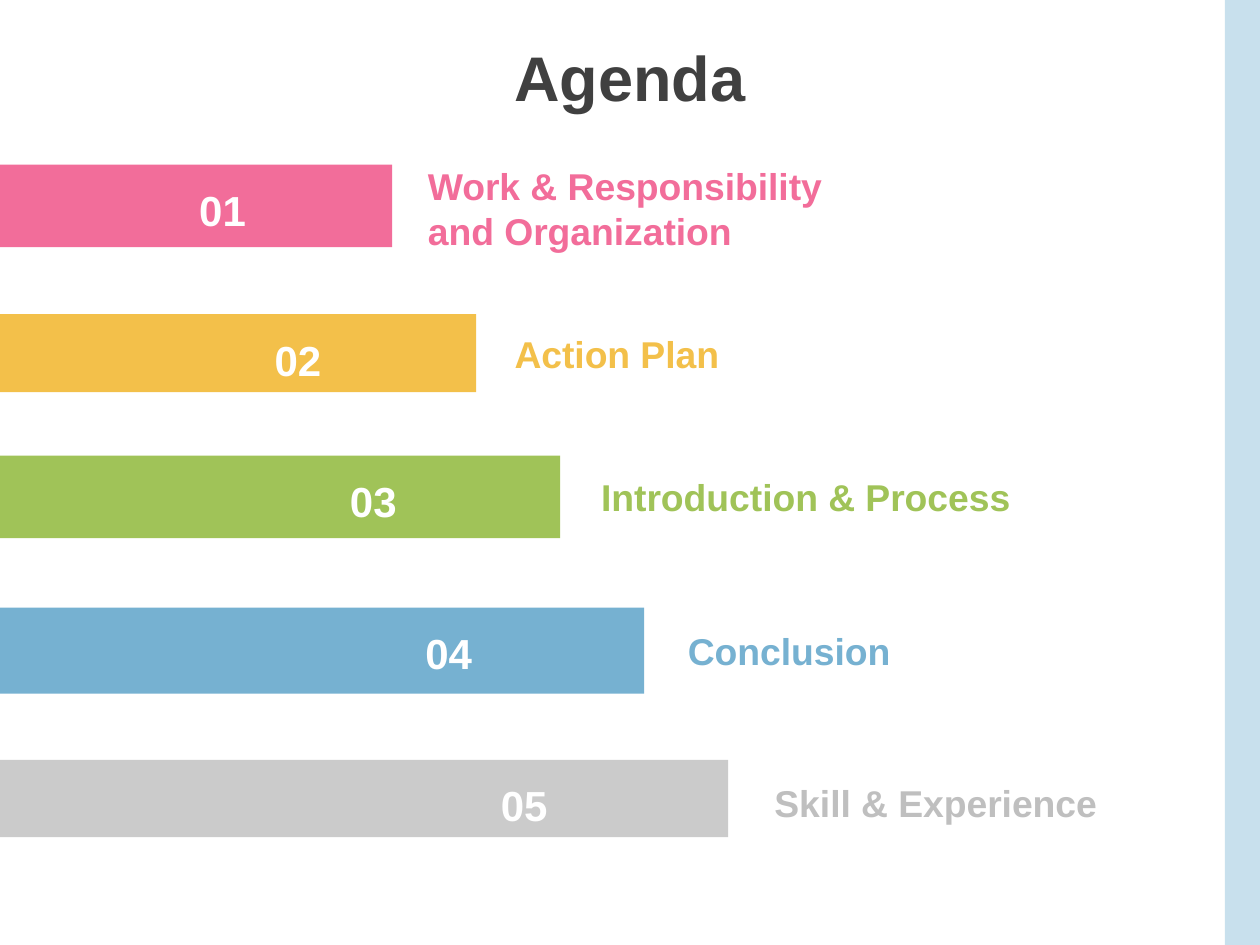
from pptx import Presentation
from pptx.dml.color import RGBColor
from pptx.enum.shapes import MSO_SHAPE as Preset
from pptx.enum.text import MSO_ANCHOR as Anchor, PP_ALIGN as Align
from pptx.util import Cm, Pt

PINK = RGBColor(0xF2, 0x6D, 0x9A)
YELLOW = RGBColor(0xF3, 0xC0, 0x4A)
GREEN = RGBColor(0xA0, 0xC3, 0x58)
BLUE = RGBColor(0x76, 0xB1, 0xD1)
GREY = RGBColor(0xCB, 0xCB, 0xCB)
LABEL_GREY = RGBColor(0xBF, 0xBF, 0xBF)
PALE_BLUE = RGBColor(0xC8, 0xE0, 0xED)
DARK = RGBColor(0x40, 0x40, 0x40)
WHITE = RGBColor(0xFF, 0xFF, 0xFF)

TITLE = "Agenda"
# label, bar colour, label colour, bar top, bar height, label top, label width, label height
ITEMS = [
    ("Work & Responsibility and Organization", PINK, PINK, 2.49, 1.25, 2.34, 7.19, 1.63),
    ("Action Plan", YELLOW, YELLOW, 4.75, 1.18, 4.88, 3.63, 0.94),
    ("Introduction & Process", GREEN, GREEN, 6.89, 1.25, 7.04, 7.14, 0.94),
    ("Conclusion", BLUE, BLUE, 9.19, 1.3, 9.37, 3.78, 0.94),
    ("Skill & Experience", GREY, LABEL_GREY, 11.49, 1.17, 11.68, 6.4, 0.94),
]

PAGE_WIDTH, PAGE_HEIGHT = 19.05, 14.29
STRIP_WIDTH = 0.53
BAR_WIDTH, BAR_STEP = 5.93, 1.27
NUMBER_LEFT, NUMBER_STEP, NUMBER_DROP = 2.11, 1.14, 0.18
LABEL_LEFT, LABEL_STEP = 6.22, 1.31


def write(frame, text, size, color, align):
    frame.word_wrap = True
    para = frame.paragraphs[0]
    para.text = text
    para.alignment = align
    para.font.name = "Arial"
    para.font.size = Pt(size)
    para.font.bold = True
    para.font.color.rgb = color


def add_block(page, left, top, width, height, color):
    block = page.shapes.add_shape(Preset.RECTANGLE, Cm(left), Cm(top), Cm(width), Cm(height))
    block.shadow.inherit = False
    block.fill.solid()
    block.fill.fore_color.rgb = color
    block.line.fill.background()


def add_text(page, left, top, width, height, text, size, color, align):
    box = page.shapes.add_textbox(Cm(left), Cm(top), Cm(width), Cm(height))
    write(box.text_frame, text, size, color, align)


def main():
    deck = Presentation()
    deck.slide_width, deck.slide_height = Cm(PAGE_WIDTH), Cm(PAGE_HEIGHT)
    page = deck.slides.add_slide(deck.slide_layouts[5])

    title = page.shapes.title
    title.left, title.top, title.width, title.height = Cm(0), Cm(0.08), Cm(PAGE_WIDTH), Cm(2.16)
    title.text_frame.vertical_anchor = Anchor.MIDDLE
    write(title.text_frame, TITLE, 27, DARK, Align.CENTER)

    for index, item in enumerate(ITEMS):
        label, bar_color, label_color, bar_top, bar_height, label_top, width, height = item
        add_block(page, 0, bar_top, BAR_WIDTH + index * BAR_STEP, bar_height, bar_color)
        add_text(page, NUMBER_LEFT + index * NUMBER_STEP, bar_top + NUMBER_DROP, 2.51, 1.02,
                 f"{index + 1:02}", 18, WHITE, Align.CENTER)
        add_text(page, LABEL_LEFT + index * LABEL_STEP, label_top, width, height,
                 label, 16, label_color, Align.LEFT)

    add_block(page, PAGE_WIDTH - STRIP_WIDTH, 0, STRIP_WIDTH, PAGE_HEIGHT, PALE_BLUE)
    deck.save("out.pptx")


if __name__ == "__main__":
    main()
